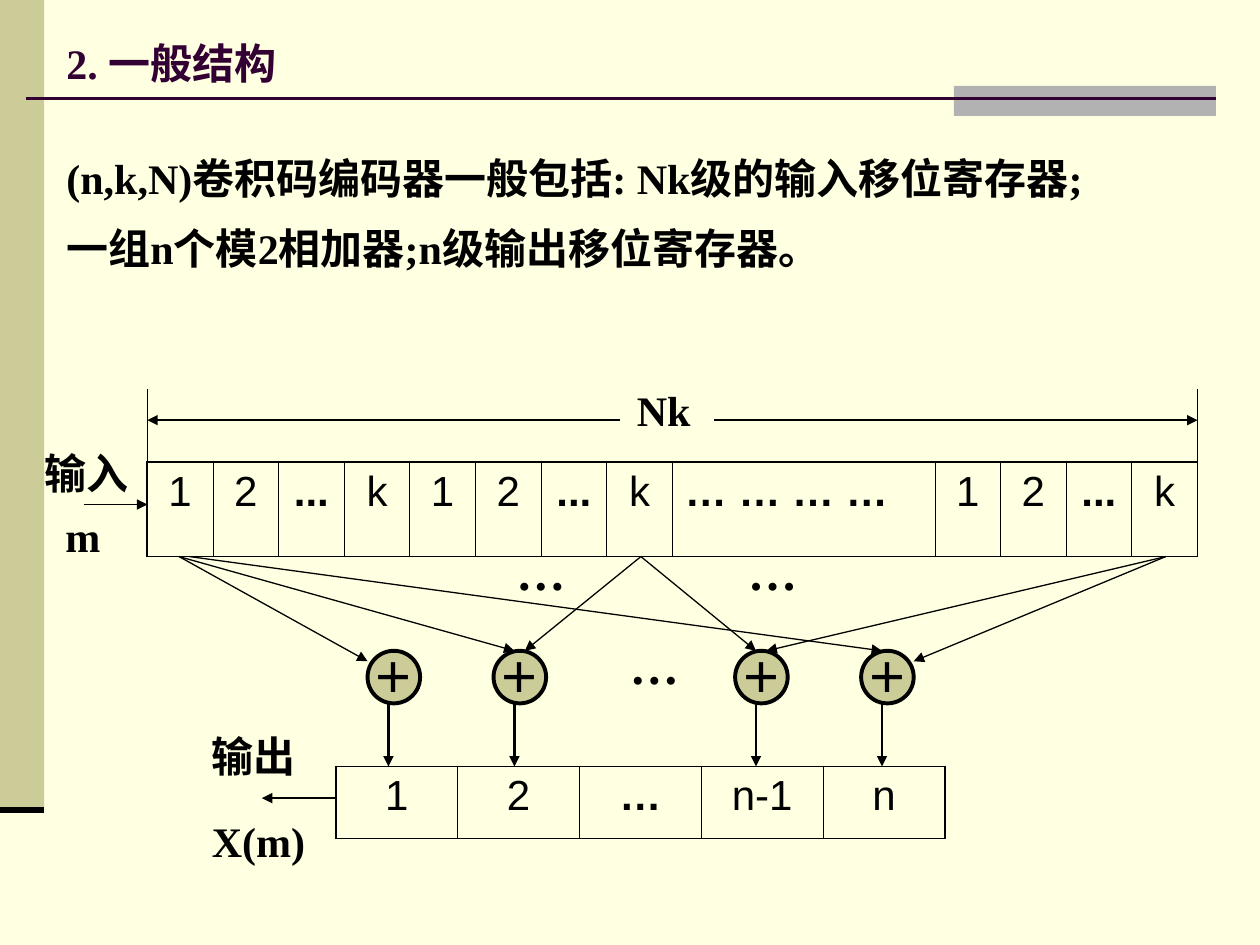
from lxml.etree import SubElement
from pptx import Presentation
from pptx.dml.color import RGBColor
from pptx.enum.shapes import MSO_CONNECTOR as Line, MSO_SHAPE as Shape
from pptx.enum.text import MSO_ANCHOR as Anchor, MSO_AUTO_SIZE as AutoSize, PP_ALIGN as Align
from pptx.oxml import parse_xml
from pptx.oxml.ns import nsdecls, qn
from pptx.util import Cm, Pt

COLORS = {"paper": "FFFFE1", "khaki": "CCCC99", "gray": "B2B2B2",
          "plum": "330033", "ink": "000000"}
SERIF, SANS = "Times New Roman", "Arial"
ADDER_SIZE = 1.06


def color(name):
    return RGBColor.from_string(COLORS[name])


def style_para(para, tone="ink", size=24, name=SERIF, bold=True):
    for span in para.runs:
        span.font.name, span.font.size, span.font.bold = name, Pt(size), bold
        span.font.color.rgb = color(tone)


def add_text(page, box, text, wrap=False, spacing=None, tone="ink", size=24, anchor=Anchor.TOP):
    frame = page.shapes.add_textbox(*map(Cm, box)).text_frame
    frame.text = text
    frame.word_wrap = wrap
    frame.vertical_anchor = anchor
    if anchor == Anchor.TOP:
        frame.auto_size = AutoSize.SHAPE_TO_FIT_TEXT
    for para in frame.paragraphs:
        para.line_spacing = spacing
        style_para(para, tone, size)


def add_shape(page, kind, box, fill):
    shape = page.shapes.add_shape(kind, *map(Cm, box))
    shape.shadow.inherit = False
    shape.fill.solid()
    shape.fill.fore_color.rgb = color(fill)
    shape.line.fill.background()
    return shape


def add_line(page, start, end, weight=0.75, arrow=True, tone="ink"):
    line = page.shapes.add_connector(Line.STRAIGHT, *map(Cm, (*start, *end)))
    line.line.width = Pt(weight)
    line.line.color.rgb = color(tone)
    if arrow:
        SubElement(line.line._get_or_add_ln(), qn("a:tailEnd"), type="triangle")
    SubElement(line._element.spPr, qn("a:effectLst"))


def border_cell(cell, weights):
    props = cell._tc.get_or_add_tcPr()
    for index, (side, weight) in enumerate(weights.items()):
        props.insert(index, parse_xml(
            f'<a:ln{side} {nsdecls("a")} w="{Pt(weight)}"><a:solidFill>'
            f'<a:srgbClr val="{COLORS["ink"]}"/></a:solidFill></a:ln{side}>'))


def add_register(page, box, labels, spans):
    """One-row table; spans gives each column's share of the width."""
    table = page.shapes.add_table(1, len(labels), *map(Cm, box)).table
    table.first_row = table.horz_banding = False
    last = len(labels) - 1
    for index, (label, share) in enumerate(zip(labels, spans)):
        table.columns[index].width = Cm(box[2] * share / sum(spans))
        cell = table.cell(0, index)
        cell.text = label
        cell.fill.background()
        para = cell.text_frame.paragraphs[0]
        para.alignment = Align.LEFT if " " in label else Align.CENTER
        style_para(para, name=SANS, bold=label[0] in ".…")
        border_cell(cell, {"L": 0.45 if index else 1.08, "R": 1.08 if index == last else 0.45,
                           "T": 1.08, "B": 1.08})


def draw_frame(page, box):
    left, top, width, height = box
    page.background.fill.solid()
    page.background.fill.fore_color.rgb = color("paper")
    # Side band and its foot
    band_width, band_height = 0.89, 16.33
    add_shape(page, Shape.RECTANGLE, (left, top, band_width, band_height), "khaki")
    add_line(page, (left + band_width, top + band_height), (left, top + band_height), 3, False)
    # Title rule with its gray tab
    rule_end = left + width - 0.89
    add_shape(page, Shape.RECTANGLE, (rule_end - 5.28, top + 1.73, 5.28, 0.61), "gray")
    add_line(page, (left + 0.53, top + 1.98), (rule_end, top + 1.98), 1.5, False, "plum")


def draw_heading(page, box):
    left, top, width, height = box
    add_text(page, (left, top, 19.69, 1.47), "2. 一般结构", True, tone="plum", anchor=Anchor.MIDDLE)
    add_text(page, (left, top + 2.01, width, 3.1),
             "(n,k,N)卷积码编码器一般包括: Nk级的输入移位寄存器;\n"
             "一组n个模2相加器;n级输出移位寄存器。", True, 1.4)


def draw_input(page, box):
    left, top, width, height = box
    right = left + width
    group = ["1", "2", "...", "k"]
    add_register(page, box, group * 2 + ["… … … …"] + group, [1] * 8 + [4] + [1] * 4)
    # Length dimension
    for edge in (left, right):
        add_line(page, (edge, top - 1.48), (edge, top), arrow=False)
    level = top - 0.85
    add_line(page, (left + 9.53, level), (left, level), 1.5)
    add_line(page, (right - 9.74, level), (right, level), 1.5)
    add_text(page, (left + 9.62, top - 1.69, 1.8, 1.27), "Nk", True)
    # Incoming signal
    add_line(page, (left - 1.27, top + 0.85), (left, top + 0.85))
    add_text(page, (left - 2.33, top - 0.42, 4.47, 1.27), "输入", True)
    add_text(page, (left - 1.9, top + 0.85, 1.22, 1.27), "m")


def draw_adders(page, box, lefts):
    """Adders with the taps that reach them from the top of the box."""
    left, top, width, height = box
    adder_top = top + 1.9
    first, second, third, fourth = (left + offset for offset in lefts)
    for adder_left in (first, second, third, fourth):
        adder = add_shape(page, Shape.OVAL, (adder_left, adder_top, ADDER_SIZE, ADDER_SIZE), "khaki")
        adder.line.color.rgb = color("ink")
        adder.line.width = Pt(2.25)
        frame = adder.text_frame
        frame.text = "＋"
        frame.word_wrap = False
        frame.vertical_anchor = Anchor.MIDDLE
        frame.paragraphs[0].alignment = Align.CENTER
        style_para(frame.paragraphs[0])
        stem = adder_left + 0.42
        add_line(page, (stem, adder_top + ADDER_SIZE), (stem, top + height), 1.5)
    # Taps: start offset, end position, drop below the adder top
    taps = [(0.64, first, 0.21), (0.64, second + 0.42, 0), (0.85, fourth + 0.42, 0),
            (9.95, second + 0.63, 0), (9.95, third + 0.42, 0),
            (20.53, third + 0.63, 0), (20.53, fourth + ADDER_SIZE, 0.21)]
    for start, end, drop in taps:
        add_line(page, (left + start, top), (end, adder_top + drop))
    # Omitted taps and adders
    for across, down in ((7.19, -0.42), (11.86, -0.42), (9.48, 1.46)):
        add_text(page, (left + across, top + down, 1.5, 1.45), "…", size=28)


def draw_output(page, box):
    left, top, width, height = box
    add_register(page, box, ["1", "2", "…", "n-1", "n"], [1] * 5)
    add_line(page, (left, top + 0.64), (left - 1.49, top + 0.64), 1.5)
    add_text(page, (left - 2.75, top - 0.85, 3.89, 1.27), "输出", True)
    add_text(page, (left - 2.75, top + 0.86, 2.39, 1.27), "X(m)")


def main():
    deck = Presentation()
    deck.slide_width, deck.slide_height = Cm(25.4), Cm(19.05)
    page = deck.slides.add_slide(deck.slide_layouts[6])
    draw_frame(page, (0, 0, 25.4, 19.05))
    draw_heading(page, (1.09, 0.53, 24.31, 5.11))
    draw_input(page, (2.97, 9.32, 21.17, 1.9))
    draw_adders(page, (2.97, 11.22, 21.17, 4.23), (4.44, 6.98, 11.85, 14.39))
    draw_output(page, (6.77, 15.45, 12.28, 1.45))
    deck.save("out.pptx")


if __name__ == "__main__":
    main()
